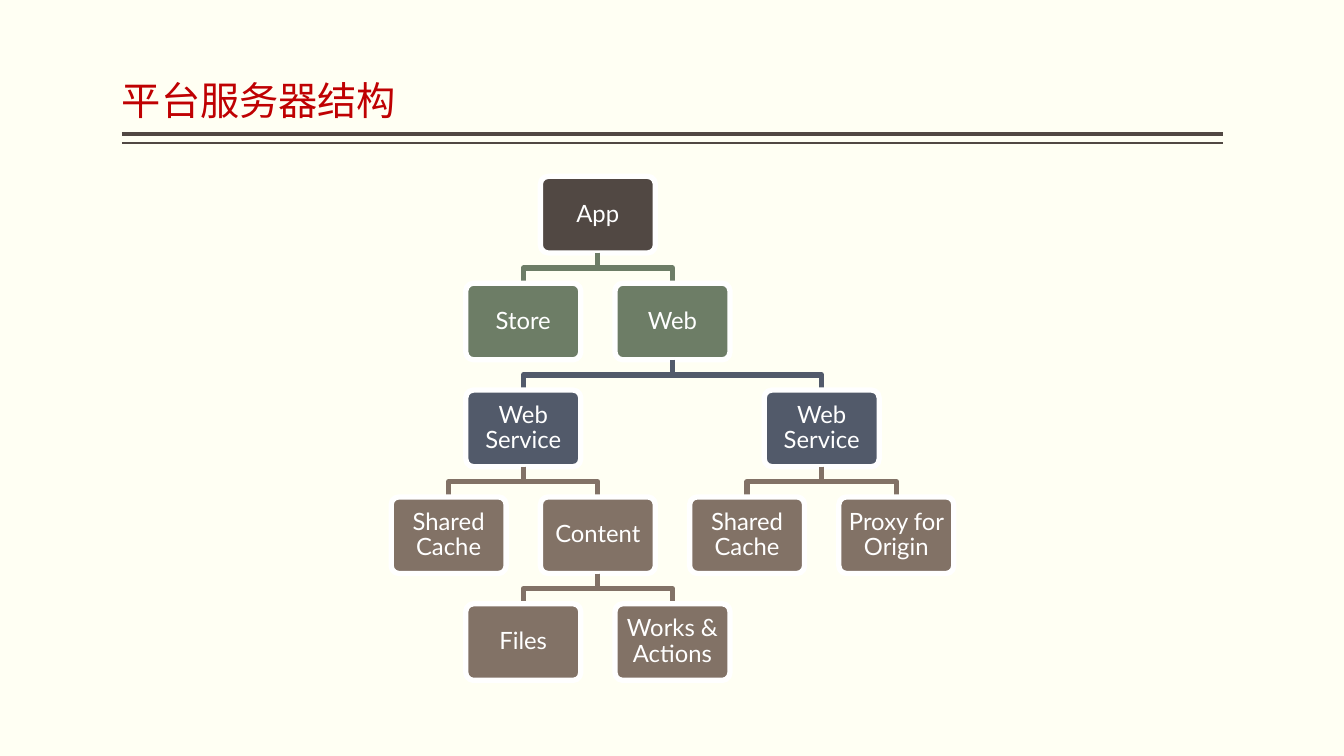
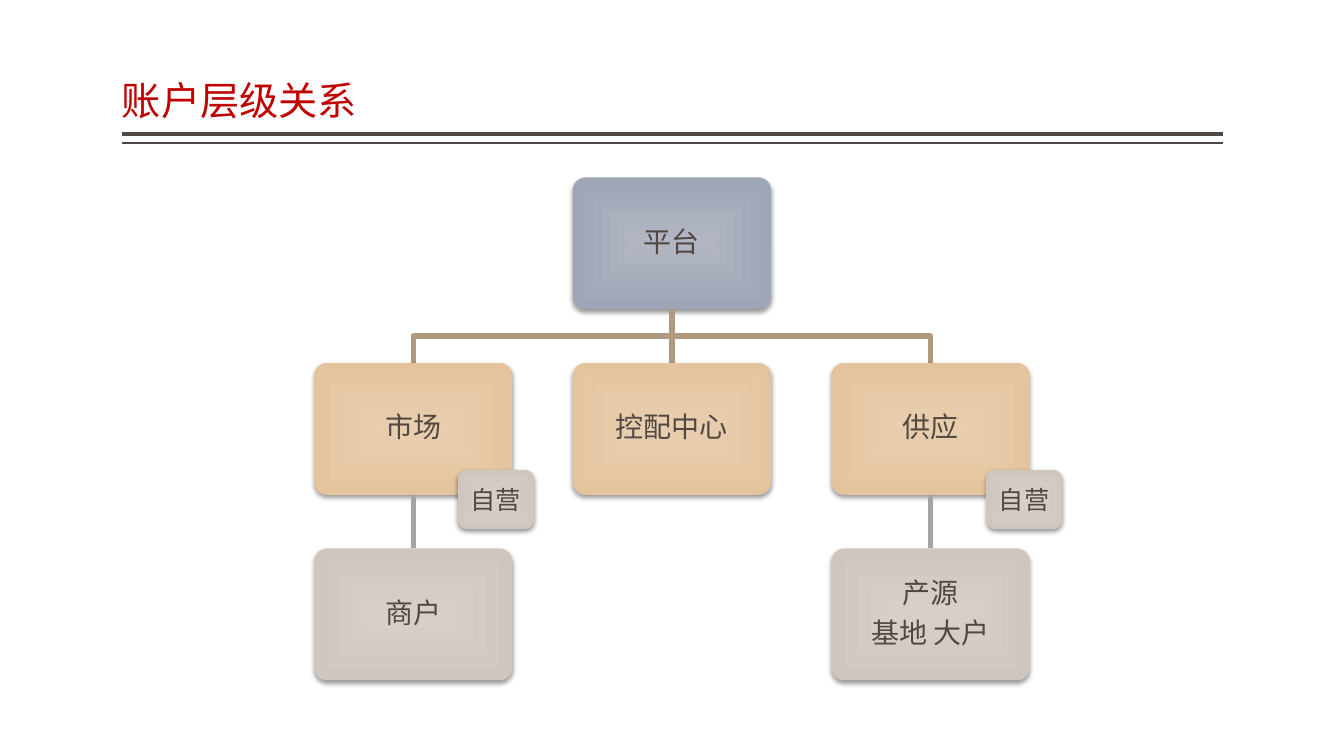
from dataclasses import dataclass

from lxml import etree
from pptx import Presentation
from pptx.dml.color import RGBColor
from pptx.enum.shapes import MSO_CONNECTOR, MSO_SHAPE
from pptx.enum.text import MSO_ANCHOR, MSO_AUTO_SIZE, PP_ALIGN
from pptx.oxml import parse_xml
from pptx.oxml.ns import nsdecls, qn
from pptx.util import Inches, Pt

ROUNDED = MSO_SHAPE.ROUNDED_RECTANGLE
STRAIGHT = MSO_CONNECTOR.STRAIGHT
LEFT, CENTER = PP_ALIGN.LEFT, PP_ALIGN.CENTER
MIDDLE, BOTTOM = MSO_ANCHOR.MIDDLE, MSO_ANCHOR.BOTTOM
TITLE_ONLY = 5


@dataclass(frozen=True)
class Theme:
    latin: str = "Lato"
    cjk: str = "Noto Sans CJK SC"
    red: str = "BF0102"
    dark: str = "514843"
    white: str = "FFFFFF"
    cream: str = "FFFFF3"
    green: str = "6D7D66"
    slate: str = "525A6A"
    brown: str = "827266"
    tan_line: str = "AE9A7E"
    grey_line: str = "A8A39E"
    # Gradients run from the centre to the edge
    blue_fade: tuple = ("B1B6C2", "9EA5B5")
    sand_fade: tuple = ("E8CEAF", "E4C49D")
    grey_fade: tuple = ("D7D0CA", "CFC7BF")
    title_pt: int = 28
    server_pt: int = 17
    account_pt: int = 20
    badge_pt: int = 18
    branch_pt: float = 3.78


T = Theme()


@dataclass(frozen=True)
class BoxStyle:
    size: int
    font: str
    color: str
    inset: float
    border: str = ""
    align: PP_ALIGN = CENTER
    corner: float = 0.1
    line_spacing: float = 0.9


@dataclass(frozen=True)
class Tree:
    """Grid of box centres: columns step right, one row per level."""
    left: float
    top: float
    col_step: float
    row_step: float
    width: float
    height: float
    fills: tuple
    branches: tuple
    style: BoxStyle


# A node is (label, column, children)
SERVER_ROOT = ("App", 2, [
    ("Store", 1, []),
    ("Web", 3, [
        ("Web Service", 1, [
            ("Shared Cache", 0, []),
            ("Content", 2, [("Files", 1, []), ("Works & Actions", 3, [])]),
        ]),
        ("Web Service", 5, [
            ("Shared Cache", 4, []),
            ("Proxy for Origin", 6, []),
        ]),
    ]),
])
ACCOUNT_ROOT = ("平台", 1, [
    ("市场", 0, [("商户", 0, [])]),
    ("控配中心", 1, []),
    ("供应", 2, [("产源\n基地 大户", 2, [])]),
])

SERVER_LEVELS = (T.dark, T.green, T.slate, T.brown, T.brown)
SERVER_TREE = Tree(
    4.45, 1.75, 0.74, 1.06, 1.14, 0.76, SERVER_LEVELS, SERVER_LEVELS,
    BoxStyle(T.server_pt, T.latin, T.white, 0.05, border=T.white))
ACCOUNT_TREE = Tree(
    4.1, 1.76, 2.565, 1.84, 1.97, 1.31,
    (T.blue_fade, T.sand_fade, T.grey_fade),
    ("", T.tan_line, T.grey_line),
    BoxStyle(T.account_pt, T.cjk, T.dark, 0.12))
BADGE = BoxStyle(T.badge_pt, T.latin, T.dark, 0.1, align=LEFT, corner=0.17,
                 line_spacing=1.0)


def rgb(value):
    return RGBColor.from_string(value)


def write(tf, text, style, anchor, insets):
    tf.word_wrap = True
    tf.auto_size = MSO_AUTO_SIZE.NONE
    tf.vertical_anchor = anchor
    tf.margin_left = tf.margin_right = Inches(insets[0])
    tf.margin_top = tf.margin_bottom = Inches(insets[1])
    for i, line in enumerate(text.split("\n")):
        p = tf.add_paragraph() if i else tf.paragraphs[0]
        p.alignment = style.align
        p.line_spacing = style.line_spacing
        p.space_before = Pt(7 if i else 0)
        r = p.add_run()
        r.text = line
        r.font.size = Pt(style.size)
        r.font.color.rgb = rgb(style.color)
        r.font.name = style.font
        ea = etree.SubElement(r.font._element, qn("a:ea"))
        ea.set("typeface", T.cjk)


def fade(sp, colors):
    """Rectangular gradient with a soft shadow below."""
    sp.fill.gradient()
    for stop, color in zip(sp.fill.gradient_stops, colors):
        stop.color.rgb = rgb(color)
    lin = sp._element.spPr.find(".//" + qn("a:lin"))
    lin.getparent().replace(lin, parse_xml(
        f'<a:path {nsdecls("a")} path="rect">'
        '<a:fillToRect l="50000" t="50000" r="50000" b="50000"/></a:path>'))
    sp._element.spPr.find(qn("a:effectLst")).append(parse_xml(
        f'<a:outerShdw {nsdecls("a")} blurRad="{Pt(3.5)}" dist="{Pt(2)}" '
        'dir="5400000" rotWithShape="0"><a:srgbClr val="000000">'
        '<a:alpha val="38000"/></a:srgbClr></a:outerShdw>'))


def add_box(s, x, y, w, h, text, fill, style):
    sp = s.shapes.add_shape(ROUNDED, Inches(x), Inches(y), Inches(w), Inches(h))
    sp.adjustments[0] = style.corner
    sp.shadow.inherit = False
    if isinstance(fill, tuple):
        fade(sp, fill)
    else:
        sp.fill.solid()
        sp.fill.fore_color.rgb = rgb(fill)
    if style.border:
        sp.line.color.rgb = rgb(style.border)
        sp.line.width = Pt(T.branch_pt)
    else:
        sp.line.fill.background()
    write(sp.text_frame, text, style, MIDDLE, (style.inset, style.inset))


def add_line(s, x1, y1, x2, y2, color, width):
    c = s.shapes.add_connector(
        STRAIGHT, Inches(x1), Inches(y1), Inches(x2), Inches(y2))
    c.line.color.rgb = rgb(color)
    c.line.width = Pt(width)
    etree.SubElement(c._element.spPr, qn("a:effectLst"))


def add_branch(s, x1, y1, x2, y2, color):
    """Join a parent to a child, bending halfway down if needed."""
    if x1 == x2:
        add_line(s, x1, y1, x2, y2, color, T.branch_pt)
        return
    mid = (y1 + y2) / 2
    points = [(Inches(x), Inches(y)) for x, y in
              ((x1, y1), (x1, mid), (x2, mid), (x2, y2))]
    builder = s.shapes.build_freeform(*points[0])
    builder.add_line_segments(points[1:], close=False)
    sp = builder.convert_to_shape()
    sp.shadow.inherit = False
    sp.fill.background()
    sp.line.color.rgb = rgb(color)
    sp.line.width = Pt(T.branch_pt)


def add_tree(s, tree, node, level=0):
    label, col, children = node
    x = tree.left + col * tree.col_step
    y = tree.top + level * tree.row_step
    add_box(s, x - tree.width / 2, y, tree.width, tree.height,
            label, tree.fills[level], tree.style)
    for child in children:
        child_x = tree.left + child[1] * tree.col_step
        add_branch(s, x, y + tree.height, child_x, y + tree.row_step,
                   tree.branches[level + 1])
        add_tree(s, tree, child, level + 1)


def add_titled_slide(prs, title, background):
    s = prs.slides.add_slide(prs.slide_layouts[TITLE_ONLY])
    s.background.fill.solid()
    s.background.fill.fore_color.rgb = rgb(background)
    # Double rule under the title
    left, width = 1.21, 10.92
    for y, weight in ((1.33, 3), (1.42, 1)):
        add_line(s, left, y, left + width, y, T.dark, weight)
    sp = s.shapes.title
    sp.left, sp.top = Inches(left), Inches(0.08)
    sp.width, sp.height = Inches(width), Inches(1.2)
    style = BoxStyle(T.title_pt, T.cjk, T.red, 0, align=LEFT)
    write(sp.text_frame, title, style, BOTTOM, (0, 0.05))
    return s


def server_slide(prs):
    s = add_titled_slide(prs, "平台服务器结构", T.cream)
    add_tree(s, SERVER_TREE, SERVER_ROOT)


def account_slide(prs):
    s = add_titled_slide(prs, "账户层级关系", T.white)
    add_tree(s, ACCOUNT_TREE, ACCOUNT_ROOT)
    # Badges on the corners of the outer boxes
    for x in (4.54, 9.78):
        add_box(s, x, 4.66, 0.76, 0.59, "自营", T.grey_fade, BADGE)


def main():
    prs = Presentation()
    prs.slide_width, prs.slide_height = Inches(13.33), Inches(7.5)
    server_slide(prs)
    account_slide(prs)
    prs.save("out.pptx")


if __name__ == "__main__":
    main()
